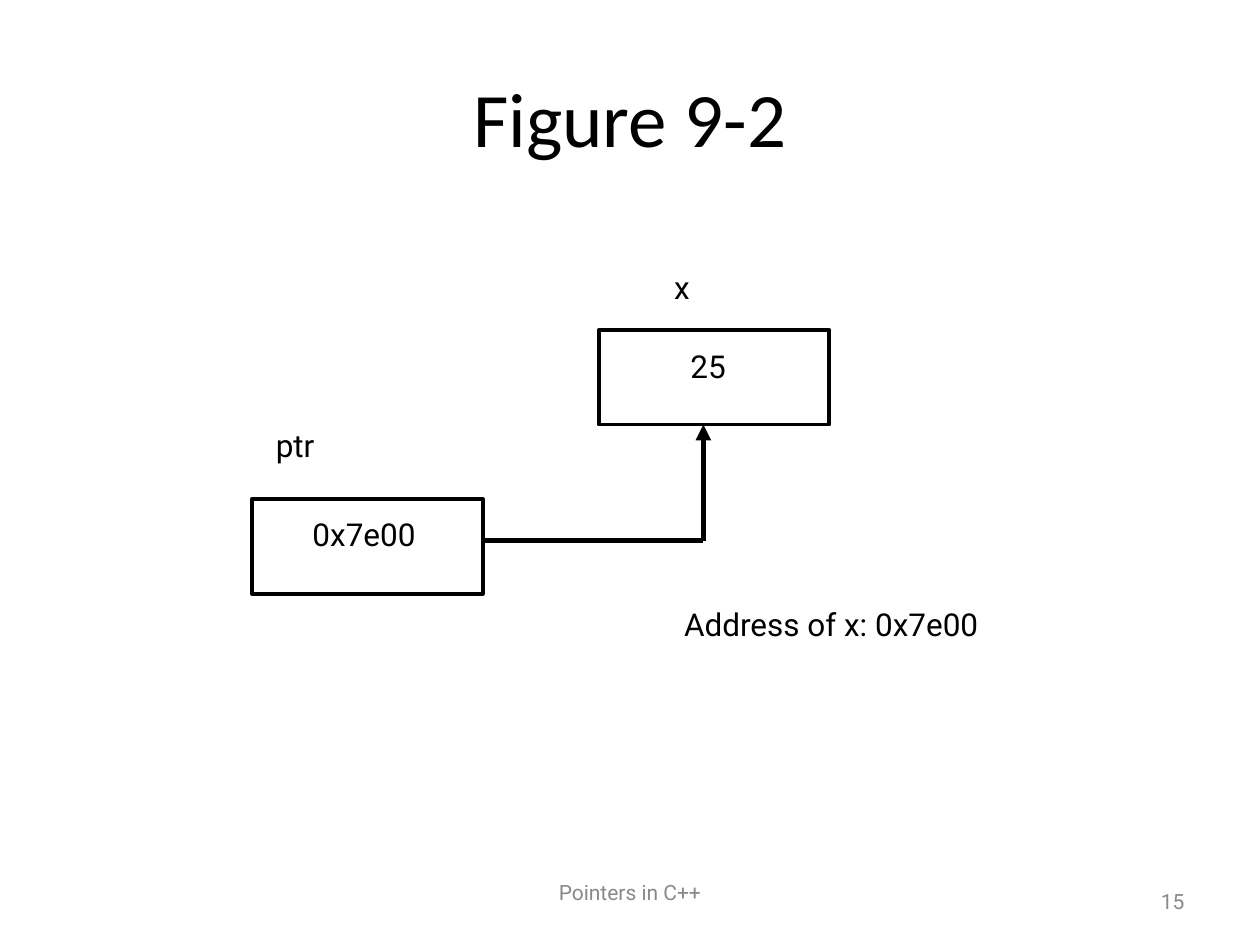
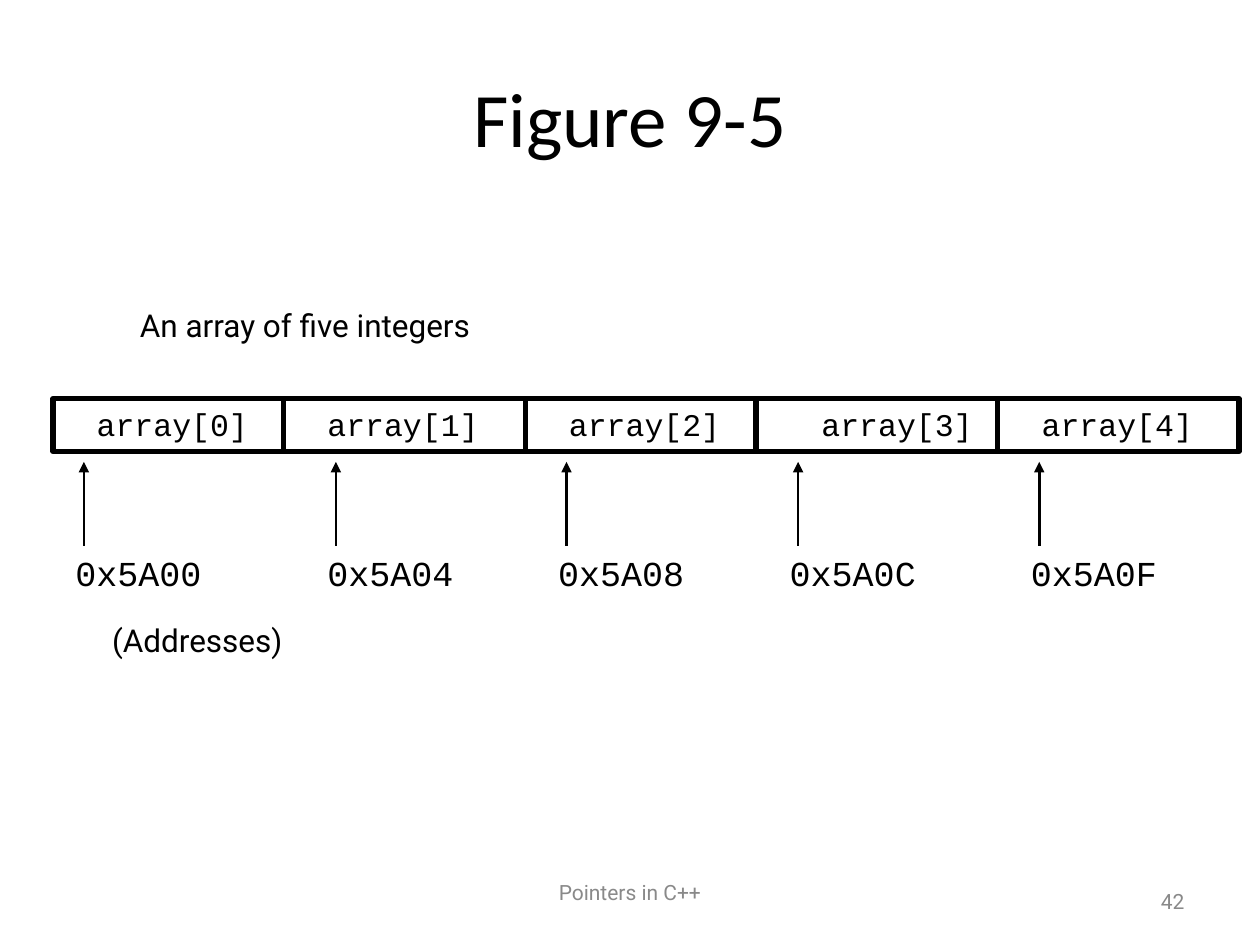
from lxml import etree
from pptx import Presentation
from pptx.dml.color import RGBColor
from pptx.enum.shapes import MSO_CONNECTOR, MSO_SHAPE
from pptx.enum.text import MSO_ANCHOR, PP_ALIGN
from pptx.oxml.ns import qn
from pptx.util import Cm, Pt

STRAIGHT = MSO_CONNECTOR.STRAIGHT
RECTANGLE = MSO_SHAPE.RECTANGLE
TOP, MIDDLE = MSO_ANCHOR.TOP, MSO_ANCHOR.MIDDLE
LEFT, CENTER, RIGHT = PP_ALIGN.LEFT, PP_ALIGN.CENTER, PP_ALIGN.RIGHT

BLACK = RGBColor(0x00, 0x00, 0x00)
GRAY = RGBColor(0x89, 0x89, 0x89)
TITLE_FONT, BODY_FONT, CODE_FONT = "Calibri", "Roboto", "Courier New"

# Content; all lengths are in centimetres
FOOTER = "Pointers in C++"

# Pointer diagram: text, left, top, width
POINTER_LABELS = [
    ("0x7e00", 6.05, 10.26, 2.64),
    ("25", 13.67, 6.88, 1.22),
    ("ptr", 5.31, 8.46, 1.37),
    ("x", 13.34, 5.28, 0.84),
    ("Address of x: 0x7e00", 13.54, 12.07, 8.89),
]
PTR_BOX = (5.08, 10.06)
X_BOX = (12.07, 6.65)
BOX_W, BOX_H = 4.65, 1.91
ELBOW_X, ELBOW_Y = 14.18, 10.9

# Array diagram: label, label left, address, address left
ARRAY_CELLS = [
    ("array[0]", 1.7, "0x5A00", 1.27),
    ("array[1]", 6.35, "0x5A04", 6.35),
    ("array[2]", 11.22, "0x5A08", 11.0),
    ("array[3]", 16.31, "0x5A0C", 15.67),
    ("array[4]", 20.75, "0x5A0F", 20.53),
]
ARRAY_NOTES = [
    ("An array of five integers", 2.57, 6.05, 7.65),
    ("(Addresses)", 2.01, 12.4, 3.96),
]
ARRAY_PARTS = [1.07, 10.59, 20.11, 24.98]  # outer edges of the three rectangles
ARRAY_DIVIDERS = [5.72, 15.24]
ARRAY_TOP, ARRAY_H = 8.04, 1.06
ADDRESS_TOP, ARROW_TIP = 11.0, 9.31
ARROW_INSET = 0.42


def style(tf, text, size, font=BODY_FONT, color=BLACK, align=LEFT, anchor=TOP):
    tf.text = text
    tf.vertical_anchor = anchor
    p = tf.paragraphs[0]
    p.alignment = align
    f = p.runs[0].font
    f.size, f.name, f.color.rgb = Pt(size), font, color


def add_text(s, text, x, y, w, h=1.02, size=18, wrap=False, **look):
    tf = s.shapes.add_textbox(Cm(x), Cm(y), Cm(w), Cm(h)).text_frame
    tf.word_wrap = wrap
    style(tf, text, size, **look)


def add_box(s, x, y, w, h, weight):
    sp = s.shapes.add_shape(RECTANGLE, Cm(x), Cm(y), Cm(w), Cm(h))
    sp.shadow.inherit = False
    sp.fill.background()
    sp.line.color.rgb = BLACK
    sp.line.width = Pt(weight)


def add_line(s, x1, y1, x2, y2, weight, arrow=False):
    line = s.shapes.add_connector(STRAIGHT, Cm(x1), Cm(y1), Cm(x2), Cm(y2))
    line.line.color.rgb = BLACK
    line.line.width = Pt(weight)
    sp_pr = line._element.spPr
    if arrow:
        etree.SubElement(sp_pr.find(qn("a:ln")), qn("a:tailEnd"), type="triangle")
    etree.SubElement(sp_pr, qn("a:effectLst"))


def add_slide(prs, title, number):
    s = prs.slides.add_slide(prs.slide_layouts[5])
    sp = s.shapes.title
    sp.left, sp.top, sp.width, sp.height = Cm(1.27), Cm(0.76), Cm(22.86), Cm(3.18)
    style(sp.text_frame, title, 44, TITLE_FONT, align=CENTER, anchor=MIDDLE)
    small = dict(size=12, color=GRAY, anchor=MIDDLE, wrap=True)
    add_text(s, FOOTER, 8.68, 17.36, 8.04, 1.27, align=CENTER, **small)
    add_text(s, number, 18.2, 17.65, 5.93, align=RIGHT, **small)
    return s


def draw_pointer(s):
    for x, y in (PTR_BOX, X_BOX):
        add_box(s, x, y, BOX_W, BOX_H, 2.25)
    # Elbow from the pointer to the variable
    add_line(s, PTR_BOX[0] + BOX_W, ELBOW_Y, ELBOW_X, ELBOW_Y, 3)
    add_line(s, ELBOW_X, ELBOW_Y, ELBOW_X, X_BOX[1] + BOX_H, 3, arrow=True)
    for label in POINTER_LABELS:
        add_text(s, *label)


def draw_array(s):
    # Row of cells
    for left, right in zip(ARRAY_PARTS, ARRAY_PARTS[1:]):
        add_box(s, left, ARRAY_TOP, right - left, ARRAY_H, 3)
    for x in ARRAY_DIVIDERS:
        add_line(s, x, ARRAY_TOP, x, ARRAY_TOP + ARRAY_H, 3)
    # Cell names with addresses and arrows
    for name, name_x, address, address_x in ARRAY_CELLS:
        add_text(s, name, name_x, ARRAY_TOP, 3.56, font=CODE_FONT)
        add_text(s, address, address_x, ADDRESS_TOP, 3.05, 1.12, 20, font=CODE_FONT)
        arrow_x = address_x + ARROW_INSET
        add_line(s, arrow_x, ADDRESS_TOP, arrow_x, ARROW_TIP, 1.5, arrow=True)
    for note in ARRAY_NOTES:
        add_text(s, *note)


def main():
    prs = Presentation()
    prs.slide_width, prs.slide_height = Cm(25.4), Cm(19.05)
    draw_pointer(add_slide(prs, "Figure 9-2", "15"))
    draw_array(add_slide(prs, "Figure 9-5", "42"))
    prs.save("out.pptx")


if __name__ == "__main__":
    main()
